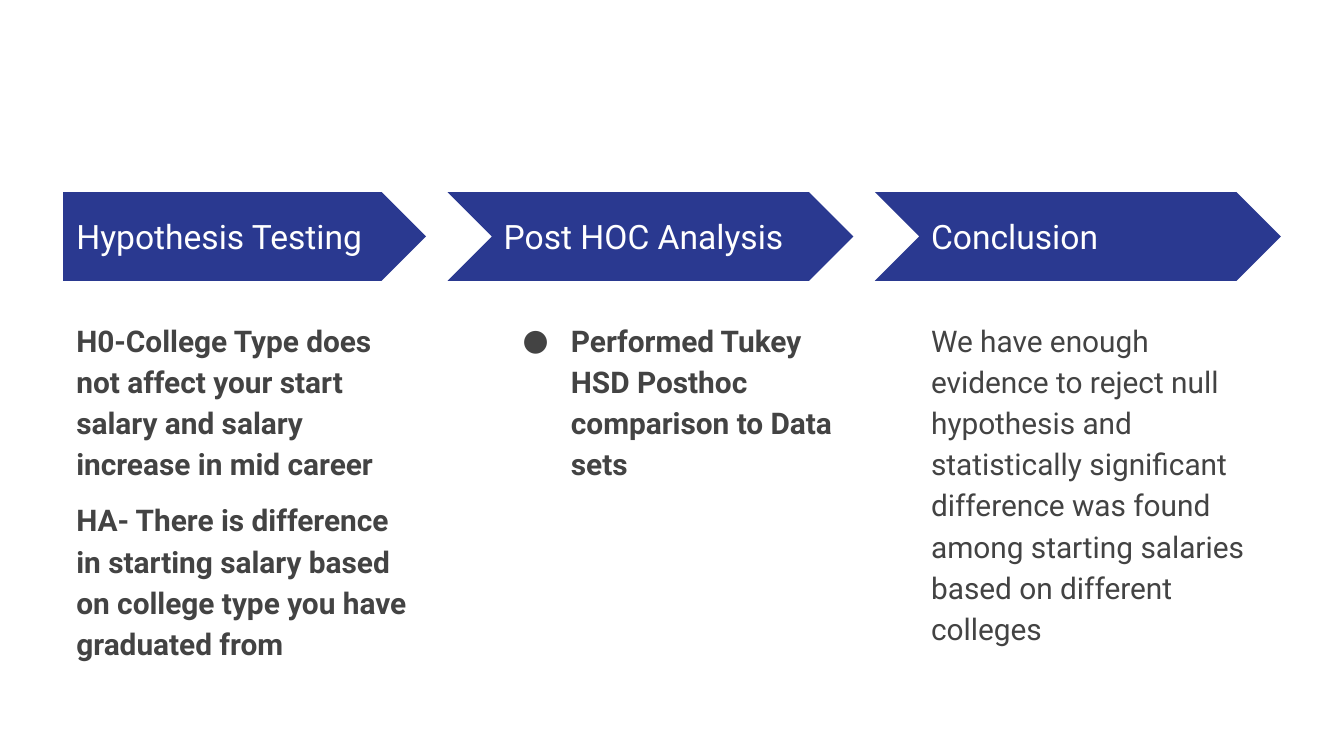
from dataclasses import dataclass

from pptx import Presentation
from pptx import util as u
from pptx.dml.color import RGBColor
from pptx.enum import shapes, text
from pptx.oxml.ns import qn
from lxml import etree


@dataclass(frozen=True)
class Theme:
    font: str = "Roboto"
    arrow: RGBColor = RGBColor(0x2A, 0x39, 0x90)
    heading: RGBColor = RGBColor(0xFF, 0xFF, 0xFF)
    body: RGBColor = RGBColor(0x43, 0x43, 0x43)
    heading_size: int = 18
    body_size: int = 16


THEME = Theme()

# Column grid, in inches
SLIDE_WIDTH = 10
LEFT, TOP, STEP, WIDTH = 0.47, 1.43, 3.18, 2.7
ARROW_HEIGHT, NOTCH = 0.66, 0.32

# Heading, paragraphs, bold, bulleted
COLUMNS = [
    ("Hypothesis Testing",
     ["H0-College Type does not affect your start salary and salary increase in mid career",
      "HA- There is difference in starting salary based on college type you have graduated from"],
     True, False),
    ("Post HOC Analysis",
     ["Performed Tukey HSD Posthoc comparison to Data sets"],
     True, True),
    ("Conclusion",
     ["We have enough evidence to reject null hypothesis and statistically significant "
      "difference was found among starting salaries based on different colleges"],
     False, False),
]


def add_text(slide, left, top, width, height, lines, size, color, bold=False,
             anchor=text.MSO_ANCHOR.TOP):
    box = slide.shapes.add_textbox(*map(u.Inches, (left, top, width, height)))
    frame = box.text_frame
    frame.word_wrap = True
    frame.vertical_anchor = anchor
    frame.margin_left = frame.margin_right = u.Inches(0.1)
    frame.margin_top = frame.margin_bottom = u.Inches(0.1)
    frame.text = "\n".join(lines)
    for paragraph in frame.paragraphs:
        font = paragraph.runs[0].font
        font.name, font.size, font.bold = THEME.font, u.Pt(size), bold
        font.color.rgb = color
    return frame


def add_bullet(paragraph):
    properties = paragraph._p.get_or_add_pPr()
    properties.set("marL", str(u.Inches(0.5)))
    properties.set("indent", str(u.Inches(-0.36)))
    etree.SubElement(properties, qn("a:buFont")).set("typeface", THEME.font)
    etree.SubElement(properties, qn("a:buChar")).set("char", "●")


def add_column(slide, left, top, first, heading, lines, bold, bulleted):
    # Arrow: later columns reach back by the depth of the notch
    notch = 0 if first else NOTCH
    kind = shapes.MSO_SHAPE.PENTAGON if first else shapes.MSO_SHAPE.CHEVRON
    arrow = slide.shapes.add_shape(kind, *map(
        u.Inches, (left - notch, top, WIDTH + notch, ARROW_HEIGHT)))
    arrow.adjustments[0] = 0.5
    arrow.shadow.inherit = False
    arrow.fill.solid()
    arrow.fill.fore_color.rgb = THEME.arrow
    arrow.line.fill.background()

    # Heading on the arrow
    add_text(slide, left, top + 0.16, 2.47, 0.34, [heading], THEME.heading_size,
             THEME.heading, anchor=text.MSO_ANCHOR.MIDDLE)

    # Body under the arrow
    frame = add_text(slide, left, top + 0.83, WIDTH, 2.9, lines, THEME.body_size,
                     THEME.body, bold)
    for index, paragraph in enumerate(frame.paragraphs):
        paragraph.line_spacing = 1.15
        paragraph.space_before = u.Pt(8 if index else 0)
        if bulleted:
            add_bullet(paragraph)


def main():
    presentation = Presentation()
    presentation.slide_width = u.Inches(SLIDE_WIDTH)
    presentation.slide_height = u.Inches(SLIDE_WIDTH * 9 / 16)
    slide = presentation.slides.add_slide(presentation.slide_layouts[6])
    for index, column in enumerate(COLUMNS):
        add_column(slide, LEFT + index * STEP, TOP, index == 0, *column)
    presentation.save("out.pptx")


if __name__ == "__main__":
    main()
